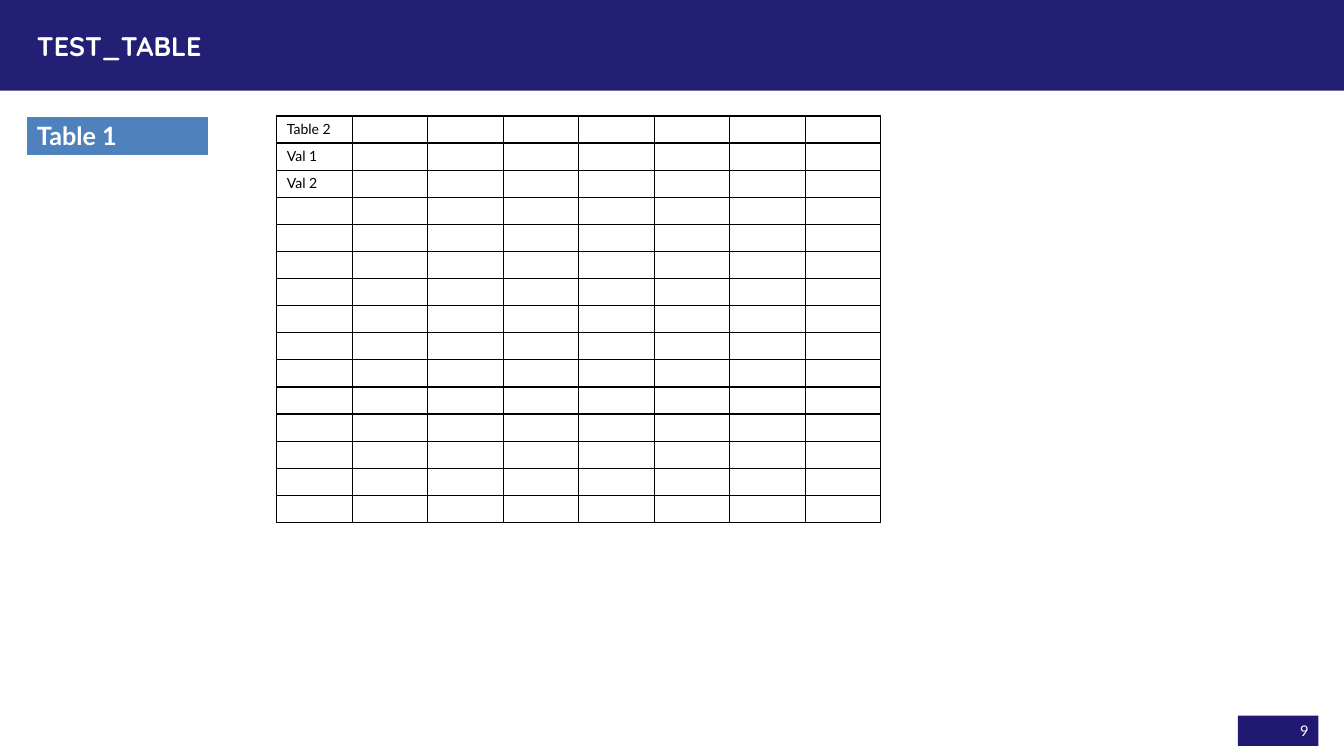
from lxml.etree import SubElement
from pptx import Presentation
from pptx.dml.color import RGBColor
from pptx.enum.shapes import MSO_SHAPE
from pptx.enum.text import MSO_ANCHOR as ANCHOR, PP_ALIGN as ALIGN
from pptx.oxml.ns import qn
from pptx.util import Inches, Pt

COLORS = {
    "band": "231F74",
    "badge": "211971",
    "label": "4F81BD",
    "white": "FFFFFF",
    "black": "000000",
}
COLS, ROWS = 100, 150


def rgb(name):
    return RGBColor.from_string(COLORS[name])


class SlideBuilder:
    """Draws on one slide; boxes are (column, row, columns, rows) of the grid."""

    body_font, title_font = "Lato", "Quicksand"

    def __init__(self, prs):
        self.slide = prs.slides.add_slide(prs.slide_layouts[5])
        self.col = prs.slide_width / COLS
        self.row = prs.slide_height / ROWS

    def place(self, x, y, w, h):
        return (round(x * self.col), round(y * self.row),
                round(w * self.col), round(h * self.row))

    def add_text(self, p, text, size, color, font=None, bold=False):
        r = p.add_run()
        r.text = text
        r.font.name = font or self.body_font
        r.font.size = Pt(size)
        r.font.bold = bold
        r.font.color.rgb = rgb(color)
        return r

    def rect(self, box, color):
        sp = self.slide.shapes.add_shape(MSO_SHAPE.RECTANGLE, *self.place(*box))
        sp.shadow.inherit = False
        sp.fill.solid()
        sp.fill.fore_color.rgb = rgb(color)
        sp.line.fill.background()
        return sp

    def title(self, box, text):
        sp = self.slide.shapes.title
        self.slide.shapes._spTree.append(sp._element)  # bring above the band
        sp.left, sp.top, sp.width, sp.height = self.place(*box)
        tf = sp.text_frame
        tf.vertical_anchor = ANCHOR.MIDDLE
        p = tf.paragraphs[0]
        p.alignment = ALIGN.LEFT
        p.line_spacing = 0.9
        r = self.add_text(p, text, 24, "white", self.title_font, bold=True)
        r.font._element.set("cap", "small")

    def page_number(self, box, number):
        tf = self.rect(box, "badge").text_frame
        tf.vertical_anchor = ANCHOR.MIDDLE
        p = tf.paragraphs[0]
        p.alignment = ALIGN.RIGHT
        self.add_text(p, number, 10.5, "white")

    def borders(self, cell, color, bottom):
        tc_pr = cell._tc.get_or_add_tcPr()
        for side, width in (("L", 1), ("R", 1), ("T", 1), ("B", bottom)):
            ln = SubElement(tc_pr, qn(f"a:ln{side}"), w=str(Pt(width)))
            fill = SubElement(ln, qn("a:solidFill"))
            SubElement(fill, qn("a:srgbClr"), val=COLORS[color])

    def table(self, box, shape, first_column, size, color, border,
              fill=None, bold=False, bottom=1):
        """Fill the first column from the top and leave the other cells empty."""
        table = self.slide.shapes.add_table(*shape, *self.place(*box)).table
        table.first_row = table.horz_banding = False
        for cell in table.iter_cells():
            self.borders(cell, border, bottom)
            if fill:
                cell.fill.solid()
                cell.fill.fore_color.rgb = rgb(fill)
            else:
                cell.fill.background()
            # Keeps empty rows as low as the rows with text
            SubElement(cell.text_frame.paragraphs[0]._p, qn("a:endParaRPr"),
                       sz=str(size * 100))
        for i, text in enumerate(first_column):
            p = table.cell(i, 0).text_frame.paragraphs[0]
            self.add_text(p, text, size, color, bold=bold)


def main():
    prs = Presentation()
    prs.slide_width, prs.slide_height = Inches(13.33), Inches(7.5)
    page = SlideBuilder(prs)
    page.page_number((92.1, 142, 6, 6), "9")
    page.rect((0, 0, COLS, 18), "band")
    page.title((2, 2, 96, 14), "test_table")
    page.table((2, 23, 13.5, 8.2), (1, 1), ["Table 1"], 18, "white", "white",
               fill="label", bold=True, bottom=3)
    page.table((20.6, 23, 44.95, 80), (15, 8), ["Table 2", "Val 1", "Val 2"],
               10, "black", "black")
    prs.save("out.pptx")


if __name__ == "__main__":
    main()
